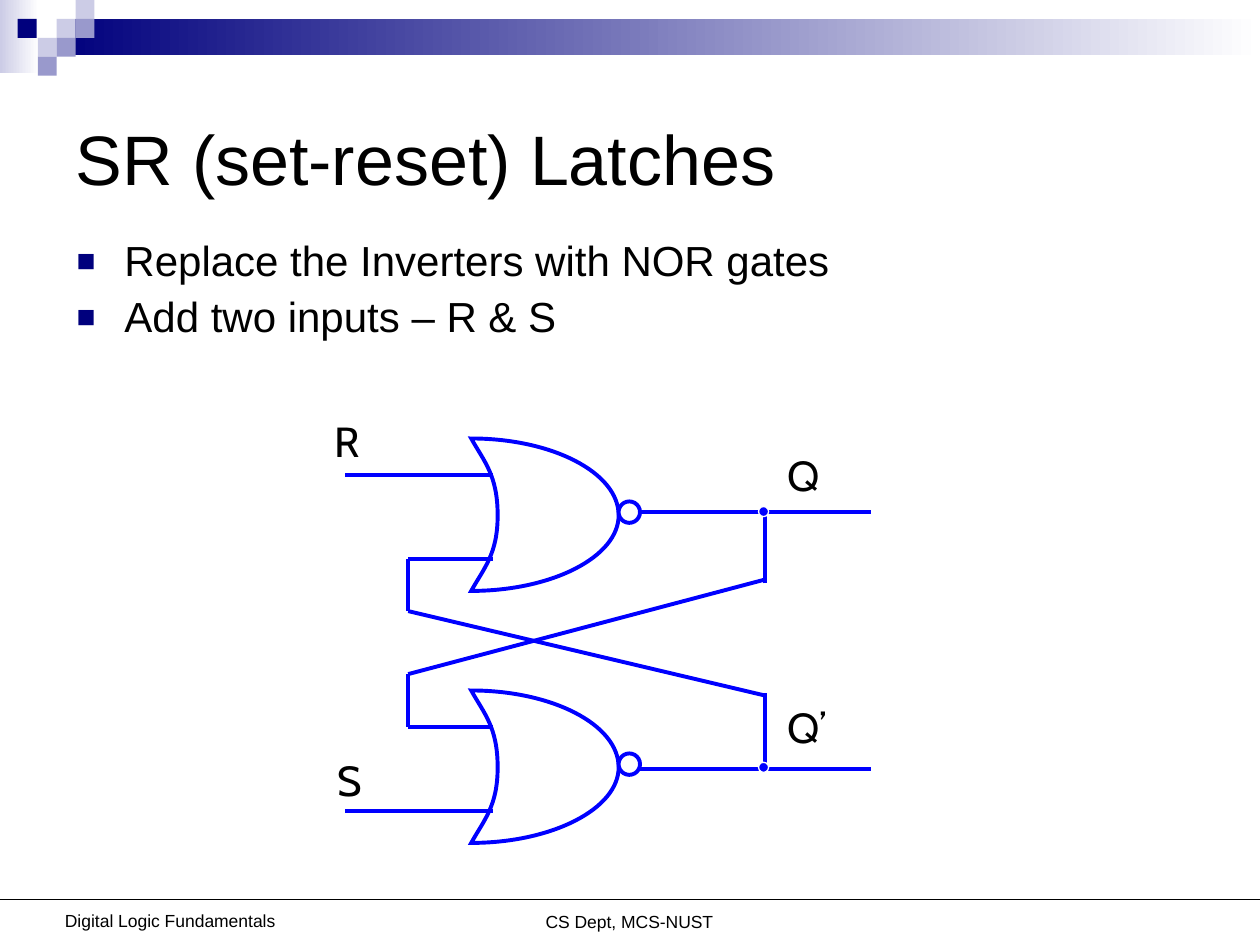
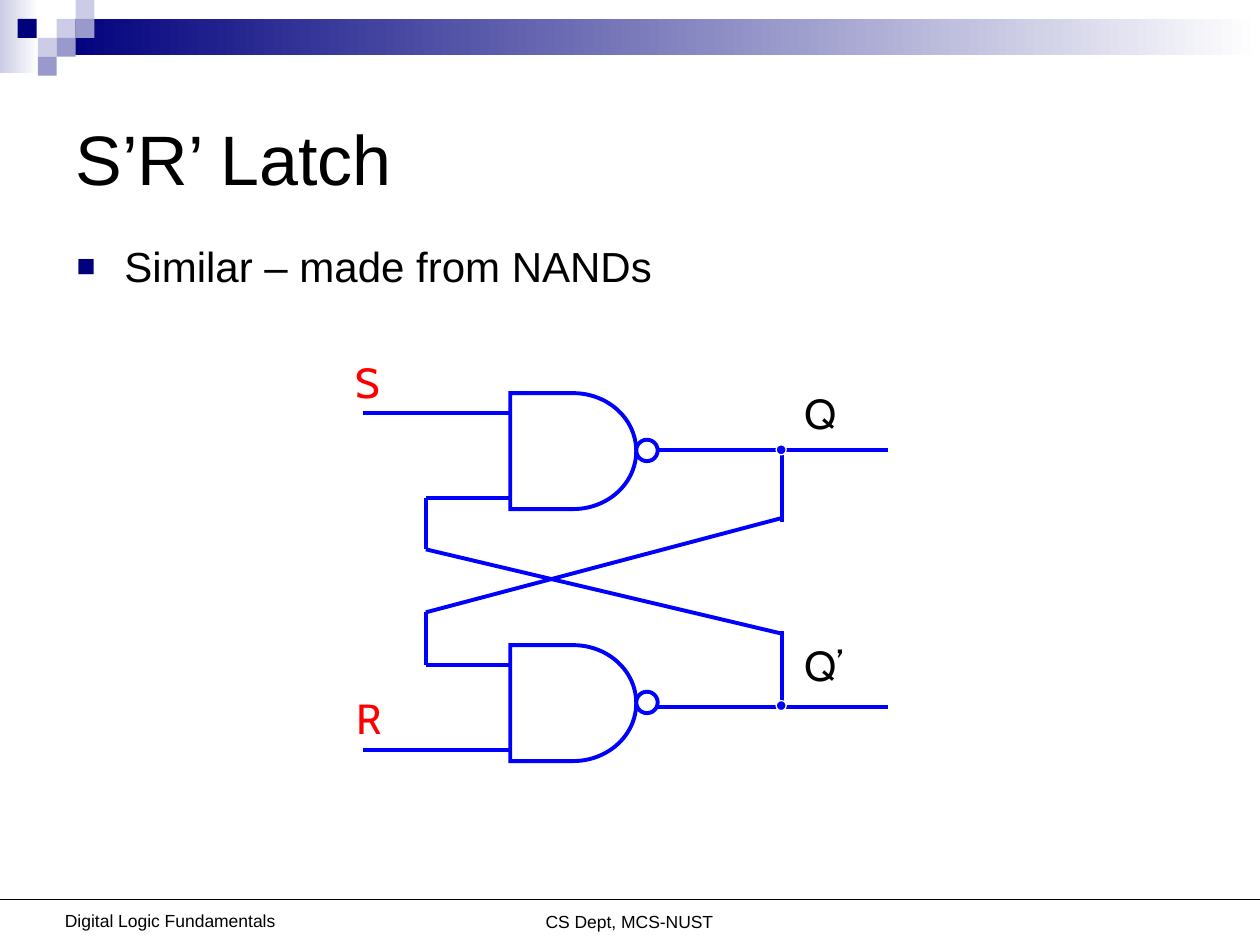
from dataclasses import dataclass
from typing import Callable, NamedTuple

from lxml.etree import SubElement
from pptx import Presentation
from pptx.dml.color import RGBColor as Color
from pptx.enum.shapes import MSO_CONNECTOR as Connector, MSO_SHAPE as Preset
from pptx.enum.text import MSO_ANCHOR as Anchor, MSO_AUTO_SIZE as AutoSize, PP_ALIGN as Align
from pptx.oxml.ns import qn
from pptx.util import Inches, Pt


@dataclass(frozen=True)
class Theme:
    black: Color = Color(0x00, 0x00, 0x00)
    white: Color = Color(0xFF, 0xFF, 0xFF)
    navy: Color = Color(0x00, 0x00, 0x7D)
    lavender: Color = Color(0xCC, 0xCC, 0xE6)
    periwinkle: Color = Color(0x99, 0x99, 0xCC)
    wire: Color = Color(0x00, 0x00, 0xFF)
    red: Color = Color(0xFF, 0x00, 0x00)
    font: str = "Arial"
    label_font: str = "Cabin"
    title_size: int = 40
    body_size: int = 24
    footer_size: int = 10
    wire_width: float = 2.25
    thin_width: float = 0.75


THEME = Theme()


class Box(NamedTuple):
    left: float
    top: float
    width: float
    height: float

    def inches(self):
        return [Inches(length) for length in self]

    def shifted(self, x: float, y: float) -> "Box":
        return Box(self.left + x, self.top + y, self.width, self.height)


class Band(NamedTuple):
    box: Box
    start: Color


class Tile(NamedTuple):
    left: float
    top: float
    color: Color


class Footer(NamedTuple):
    text: str
    box: Box


class Wire(NamedTuple):
    x1: float
    y1: float
    x2: float
    y2: float


class Label(NamedTuple):
    text: str
    box: Box
    color: Color


@dataclass(frozen=True)
class Latch:
    title: str
    bullets: tuple[str, ...]
    line_spacing: float
    body_height: float
    x: float
    y: float
    inputs: tuple[Label, Label]
    draw_gate: Callable


TILE_SIZE = 0.15
BANDS = (
    Band(Box(0, 0, 0.31, 0.58), THEME.lavender),
    Band(Box(0.45, 0.15, 9.55, 0.29), THEME.navy),
)
TILES = (
    Tile(0.45, 0.15, THEME.lavender),
    Tile(0.6, 0, THEME.lavender),
    Tile(0.6, 0.15, THEME.periwinkle),
    Tile(0.3, 0.3, THEME.lavender),
    Tile(0.14, 0.15, THEME.navy),
    Tile(0.45, 0.3, THEME.periwinkle),
    Tile(0.3, 0.45, THEME.periwinkle),
)
FOOTERS = (
    Footer("CS Dept, MCS-NUST", Box(2.91, 7.18, 4.17, 0.26)),
    Footer("Digital Logic Fundamentals", Box(0.35, 7.17, 2, 0.26)),
)
FOOTER_RULE = Wire(0, 7.14, 10, 7.14)
TITLE_BOX = Box(0.5, 0.5, 9, 1.5)

GATE_PITCH = 2.0
BUBBLE = Box(1.67, -0.09, 0.17, 0.17)
JUNCTIONS = (Box(2.78, -0.05, 0.08, 0.08), Box(2.78, 1.98, 0.08, 0.08))
WIRES = (
    Wire(-0.5, -0.3, 0.67, -0.3),
    Wire(-0.5, 2.37, 0.67, 2.37),
    Wire(0, 0.37, 0.67, 0.37),
    Wire(0, 1.7, 0.67, 1.7),
    Wire(0, 0.78, 0, 0.37),
    Wire(0, 1.7, 0, 1.28),
    Wire(0, 0.78, 2.83, 1.45),
    Wire(0, 1.28, 2.83, 0.53),
    Wire(2.83, 0.56, 2.83, -0.03),
    Wire(2.83, 2.04, 2.83, 1.43),
    Wire(1.83, -0.01, 3.67, -0.01),
    Wire(1.83, 2.03, 3.67, 2.03),
)
OUTPUTS = (
    Label("Q", Box(2.91, -0.55, 0.46, 0.5), THEME.black),
    Label("Q’", Box(2.91, 1.45, 0.52, 0.5), THEME.black),
)
OR_START = (0.5, 0.62)
OR_CURVES = (
    ((0.6, 0.44), (0.71, 0.33), (0.71, 0.02)),
    ((0.71, -0.3), (0.6, -0.41), (0.5, -0.59)),
    ((1.14, -0.59), (1.67, -0.32), (1.67, 0.02)),
    ((1.67, 0.35), (1.14, 0.62), (0.5, 0.62)),
)
NAND_BOX = Box(0.67, -0.46, 1, 0.92)


def outline(shape, fill: Color, line: Color, width: float) -> None:
    shape.shadow.inherit = False
    shape.fill.solid()
    shape.fill.fore_color.rgb = fill
    shape.line.color.rgb = line
    shape.line.width = Pt(width)
    SubElement(shape.line._get_or_add_ln(), qn("a:miter"), lim="800000")


def add_preset(slide, preset, box: Box, fill: Color, line: Color, width: float) -> None:
    outline(slide.shapes.add_shape(preset, *box.inches()), fill, line, width)


def add_wire(slide, wire: Wire, color: Color, width: float) -> None:
    ends = [Inches(length) for length in wire]
    connector = slide.shapes.add_connector(Connector.STRAIGHT, *ends)
    connector.line.color.rgb = color
    connector.line.width = Pt(width)
    SubElement(connector._element.spPr, qn("a:effectLst"))


def format_font(paragraph, size: int, color: Color = THEME.black, name: str = THEME.font) -> None:
    for run in paragraph.runs:
        run.font.size = Pt(size)
        run.font.name = name
        run.font.color.rgb = color


def add_plain_box(slide, box: Box):
    shape = slide.shapes.add_shape(Preset.RECTANGLE, *box.inches())
    shape.shadow.inherit = False
    shape.line.fill.background()
    return shape


def add_band(slide, band: Band) -> None:
    fill = add_plain_box(slide, band.box).fill
    fill.gradient()
    fill.gradient_angle = 0
    for stop, color in zip(fill.gradient_stops, (band.start, THEME.white)):
        stop.color.rgb = color


def add_tile(slide, tile: Tile) -> None:
    fill = add_plain_box(slide, Box(tile.left, tile.top, TILE_SIZE, TILE_SIZE)).fill
    fill.solid()
    fill.fore_color.rgb = tile.color


def add_footer(slide, footer: Footer) -> None:
    text_frame = slide.shapes.add_textbox(*footer.box.inches()).text_frame
    text_frame.word_wrap = True
    text_frame.text = footer.text
    paragraph = text_frame.paragraphs[0]
    paragraph.alignment = Align.CENTER
    format_font(paragraph, THEME.footer_size)


def add_frame(slide) -> None:
    for band in BANDS:
        add_band(slide, band)
    for tile in TILES:
        add_tile(slide, tile)
    for footer in FOOTERS:
        add_footer(slide, footer)
    add_wire(slide, FOOTER_RULE, THEME.black, THEME.thin_width)


def set_title(slide, text: str) -> None:
    title = slide.shapes.title
    title.left, title.top, title.width, title.height = TITLE_BOX.inches()
    text_frame = title.text_frame
    text_frame.text = text
    text_frame.auto_size = AutoSize.NONE
    text_frame.vertical_anchor = Anchor.MIDDLE
    paragraph = text_frame.paragraphs[0]
    paragraph.alignment = Align.LEFT
    format_font(paragraph, THEME.title_size)


def add_bullet(paragraph) -> None:
    properties = paragraph._p.get_or_add_pPr()
    properties.set("marL", str(Inches(0.38)))
    properties.set("indent", str(Inches(-0.38)))
    color = SubElement(properties, qn("a:buClr"))
    SubElement(color, qn("a:srgbClr"), val=str(THEME.navy))
    SubElement(properties, qn("a:buSzPct"), val="75000")
    SubElement(properties, qn("a:buFont"), typeface=THEME.font)
    SubElement(properties, qn("a:buChar"), char="■")


def add_bullets(slide, latch: Latch) -> None:
    box = Box(0.51, 1.86, 9, latch.body_height)
    text_frame = slide.shapes.add_textbox(*box.inches()).text_frame
    text_frame.word_wrap = True
    text_frame.text = "\n".join(latch.bullets)
    for index, paragraph in enumerate(text_frame.paragraphs):
        add_bullet(paragraph)
        paragraph.line_spacing = latch.line_spacing
        paragraph.space_before = Pt(6 if index else 0)
        format_font(paragraph, THEME.body_size)


def add_label(slide, label: Label, x: float, y: float) -> None:
    text_frame = slide.shapes.add_textbox(*label.box.shifted(x, y).inches()).text_frame
    text_frame.word_wrap = False
    text_frame.auto_size = AutoSize.SHAPE_TO_FIT_TEXT
    text_frame.text = label.text
    format_font(text_frame.paragraphs[0], THEME.body_size, label.color, THEME.label_font)


def curve_segments(shape) -> None:
    segments = list(shape._element.iter(qn("a:lnTo")))
    for first in range(0, len(segments), 3):
        curve = segments[first].makeelement(qn("a:cubicBezTo"))
        segments[first].addprevious(curve)
        for segment in segments[first:first + 3]:
            curve.append(segment[0])
            segment.getparent().remove(segment)


def draw_nor_body(slide, x: float, y: float) -> None:
    controls = [OR_START, *(point for curve in OR_CURVES for point in curve)]
    first, *rest = [(Inches(x + px), Inches(y + py)) for px, py in controls]
    builder = slide.shapes.build_freeform(*first)
    builder.add_line_segments(rest, close=True)
    gate = builder.convert_to_shape()
    curve_segments(gate)
    outline(gate, THEME.white, THEME.wire, THEME.wire_width)


def draw_nand_body(slide, x: float, y: float) -> None:
    box = NAND_BOX.shifted(x, y)
    add_preset(slide, Preset.FLOWCHART_DELAY, box, THEME.white, THEME.wire, THEME.wire_width)


def draw_circuit(slide, latch: Latch) -> None:
    x, y = latch.x, latch.y
    for gate_y in (y, y + GATE_PITCH):
        latch.draw_gate(slide, x, gate_y)
        bubble = BUBBLE.shifted(x, gate_y)
        add_preset(slide, Preset.OVAL, bubble, THEME.white, THEME.wire, THEME.wire_width)
    for wire in WIRES:
        placed = Wire(wire.x1 + x, wire.y1 + y, wire.x2 + x, wire.y2 + y)
        add_wire(slide, placed, THEME.wire, THEME.wire_width)
    for junction in JUNCTIONS:
        add_preset(slide, Preset.OVAL, junction.shifted(x, y), THEME.wire, THEME.white, THEME.thin_width)
    for label in (*latch.inputs, *OUTPUTS):
        add_label(slide, label, x, y)


LATCHES = (
    Latch("SR (set-reset) Latches",
          ("Replace the Inverters with NOR gates", "Add two inputs – R & S"),
          0.9, 0.94, 3.24, 4.07,
          (Label("R", Box(-0.68, -0.82, 0.41, 0.5), THEME.black),
           Label("S", Box(-0.66, 1.87, 0.38, 0.5), THEME.black)),
          draw_nor_body),
    Latch("S’R’ Latch", ("Similar – made from NANDs",),
          1.0, 0.86, 3.38, 3.58,
          (Label("S", Box(-0.66, -0.8, 0.38, 0.5), THEME.red),
           Label("R", Box(-0.65, 1.87, 0.41, 0.5), THEME.red)),
          draw_nand_body),
)


def main() -> None:
    presentation = Presentation()
    presentation.slide_width, presentation.slide_height = Inches(10), Inches(7.5)
    title_only = presentation.slide_layouts[5]
    for latch in LATCHES:
        slide = presentation.slides.add_slide(title_only)
        add_frame(slide)
        set_title(slide, latch.title)
        add_bullets(slide, latch)
        draw_circuit(slide, latch)
    presentation.save("out.pptx")


if __name__ == "__main__":
    main()
